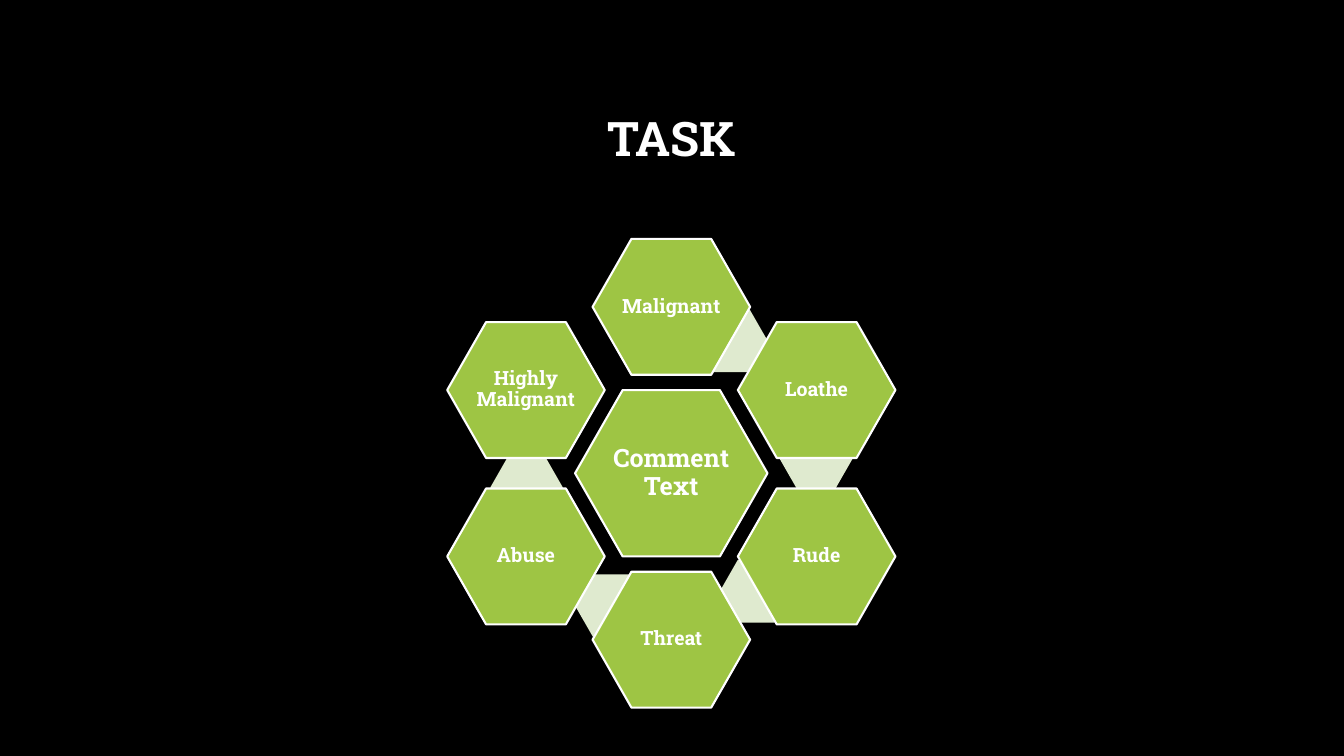
import math

import pptx
import pptx.dml.color
import pptx.enum.shapes
import pptx.enum.text
import pptx.util

COLORS = {"ground": "000000", "text": "FFFFFF", "cell": "9EC544", "link": "DFEACF"}
FONT = "Roboto Slab"
SLIDE_WIDTH = pptx.util.Inches(13.33)
SLIDE_HEIGHT = pptx.util.Inches(7.5)
TITLE_BOX = (0.075, 0.09, 0.85, 0.193)
WHEEL_BOX = (0.333, 0.316, 0.333, 0.62)
LABELS = ["Malignant", "Loathe", "Rude", "Threat", "Abuse", "Highly Malignant"]
STEP = 360 / len(LABELS)
LINK_START = 24.4
HUB_SIZE = (0.43, 0.355)
CELL_SIZE = (0.352, 0.29)
LINK_SIZE = (0.162, 0.133)
CELL_RADIUS = (0.375, 0.355)
LINK_RADIUS = (0.325, 0.31)


def color(name):
    return pptx.dml.color.RGBColor.from_string(COLORS[name])


def to_slide(shares):
    left, top, width, height = shares
    return (int(left * SLIDE_WIDTH), int(top * SLIDE_HEIGHT),
            int(width * SLIDE_WIDTH), int(height * SLIDE_HEIGHT))


def write(shape, text, size, inset):
    frame = shape.text_frame
    frame.word_wrap = True
    frame.auto_size = pptx.enum.text.MSO_AUTO_SIZE.NONE
    frame.vertical_anchor = pptx.enum.text.MSO_ANCHOR.MIDDLE
    frame.margin_left = frame.margin_right = pptx.util.Inches(inset)
    frame.margin_top = frame.margin_bottom = pptx.util.Inches(inset)
    para = frame.paragraphs[0]
    para.alignment = pptx.enum.text.PP_ALIGN.CENTER
    para.line_spacing = 0.9
    span = para.add_run()
    span.text = text
    span.font.name = FONT
    span.font.size = pptx.util.Pt(size)
    span.font.bold = True
    span.font.color.rgb = color("text")


def add_title(slide, box):
    title = slide.shapes.title
    title.left, title.top, title.width, title.height = box
    write(title, "TASK", 34, 0.1)


def add_hexagon(group, box, center, size, fill, outlined=True):
    left, top, width, height = box
    hexagon = group.shapes.add_shape(
        pptx.enum.shapes.MSO_SHAPE.HEXAGON,
        int(left + (center[0] - size[0] / 2) * width),
        int(top + (center[1] - size[1] / 2) * height),
        int(size[0] * width), int(size[1] * height))
    hexagon.adjustments[0] = 0.286
    hexagon.shadow.inherit = False
    hexagon.fill.solid()
    hexagon.fill.fore_color.rgb = color(fill)
    if outlined:
        hexagon.line.color.rgb = color("text")
        hexagon.line.width = pptx.util.Pt(1.5)
    else:
        hexagon.line.fill.background()
    return hexagon


def on_ring(degrees, radius):
    angle = math.radians(degrees)
    return 0.5 + radius[0] * math.sin(angle), 0.5 - radius[1] * math.cos(angle)


def add_wheel(slide, box):
    group = slide.shapes.add_group_shape()
    hub = add_hexagon(group, box, (0.5, 0.5), HUB_SIZE, "cell")
    write(hub, "Comment Text", 18, 0.03)
    for index in range(len(LABELS) - 1):
        center = on_ring(LINK_START + index * STEP, LINK_RADIUS)
        add_hexagon(group, box, center, LINK_SIZE, "link", outlined=False)
    for index, label in enumerate(LABELS):
        center = on_ring(index * STEP, CELL_RADIUS)
        write(add_hexagon(group, box, center, CELL_SIZE, "cell"), label, 14, 0.02)


def main():
    deck = pptx.Presentation()
    deck.slide_width = SLIDE_WIDTH
    deck.slide_height = SLIDE_HEIGHT
    slide = deck.slides.add_slide(deck.slide_layouts.get_by_name("Title Only"))
    slide.background.fill.solid()
    slide.background.fill.fore_color.rgb = color("ground")
    add_title(slide, to_slide(TITLE_BOX))
    add_wheel(slide, to_slide(WHEEL_BOX))
    deck.save("out.pptx")


if __name__ == "__main__":
    main()
